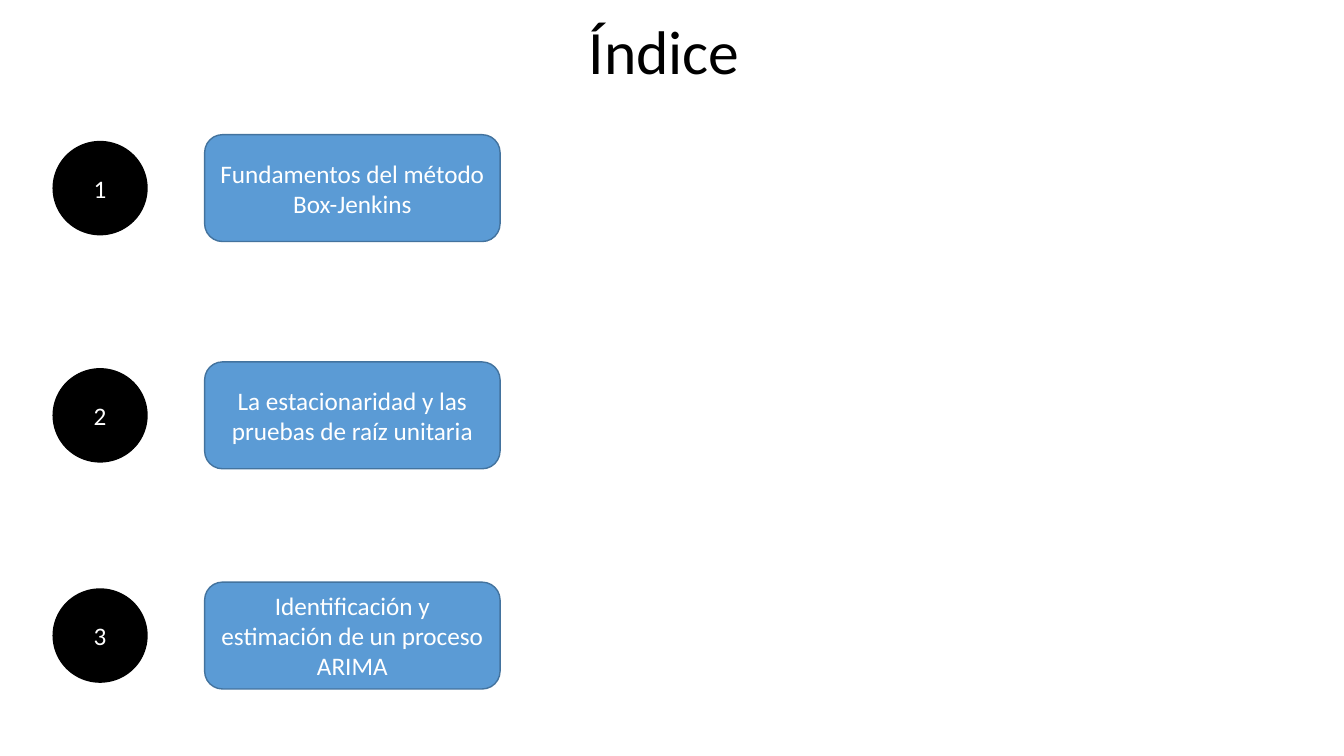
from dataclasses import dataclass

from pptx import Presentation
from pptx.dml.color import RGBColor
from pptx.enum.shapes import MSO_SHAPE
from pptx.enum.text import MSO_ANCHOR, PP_ALIGN
from pptx.util import Pt

OVAL = MSO_SHAPE.OVAL
ROUND = MSO_SHAPE.ROUNDED_RECTANGLE
MIDDLE = MSO_ANCHOR.MIDDLE
CENTER = PP_ALIGN.CENTER
TITLE_ONLY = 5


@dataclass
class Topic:
    text: str
    mid: float


@dataclass
class Style:
    kind: MSO_SHAPE
    left: float
    width: float
    height: float
    fill: str
    line: str


TOPICS = [
    Topic("Fundamentos del método Box-Jenkins", 134.4),
    Topic("La estacionaridad y las pruebas de raíz unitaria", 296.7),
    Topic("Identificación y estimación de un proceso ARIMA", 454),
]
BADGE = Style(OVAL, 38, 67, 66.5, "000000", "000000")
CARD = Style(ROUND, 146.2, 211, 76.3, "5B9BD5", "43739E")


def color(code: str) -> RGBColor:
    return RGBColor.from_string(code)


def write(shape, text: str, *, size: float = 18, ink: str = "FFFFFF",
          space: float = 1.0) -> None:
    frame = shape.text_frame
    frame.word_wrap = True
    frame.vertical_anchor = MIDDLE
    para = frame.paragraphs[0]
    para.text = text
    para.alignment = CENTER
    para.line_spacing = space
    font = para.runs[0].font
    font.name = "Calibri"
    font.size = Pt(size)
    font.color.rgb = color(ink)


def draw(slide, style: Style, mid: float, text: str) -> None:
    """Draw a labelled shape centred vertically on mid."""
    shape = slide.shapes.add_shape(
        style.kind, Pt(style.left), Pt(mid - style.height / 2),
        Pt(style.width), Pt(style.height))
    shape.shadow.inherit = False
    shape.fill.solid()
    shape.fill.fore_color.rgb = color(style.fill)
    shape.line.color.rgb = color(style.line)
    shape.line.width = Pt(1)
    write(shape, text)


def main() -> None:
    deck = Presentation()
    deck.slide_width, deck.slide_height = Pt(960), Pt(540)
    slide = deck.slides.add_slide(deck.slide_layouts[TITLE_ONLY])

    title = slide.shapes.title
    title.left, title.top = Pt(60.5), Pt(2.2)
    title.width, title.height = Pt(828), Pt(73.4)
    write(title, "Índice", size=44, ink="000000", space=0.9)

    for num, topic in enumerate(TOPICS, 1):
        draw(slide, BADGE, topic.mid, str(num))
        draw(slide, CARD, topic.mid, topic.text)

    deck.save("out.pptx")


if __name__ == "__main__":
    main()
